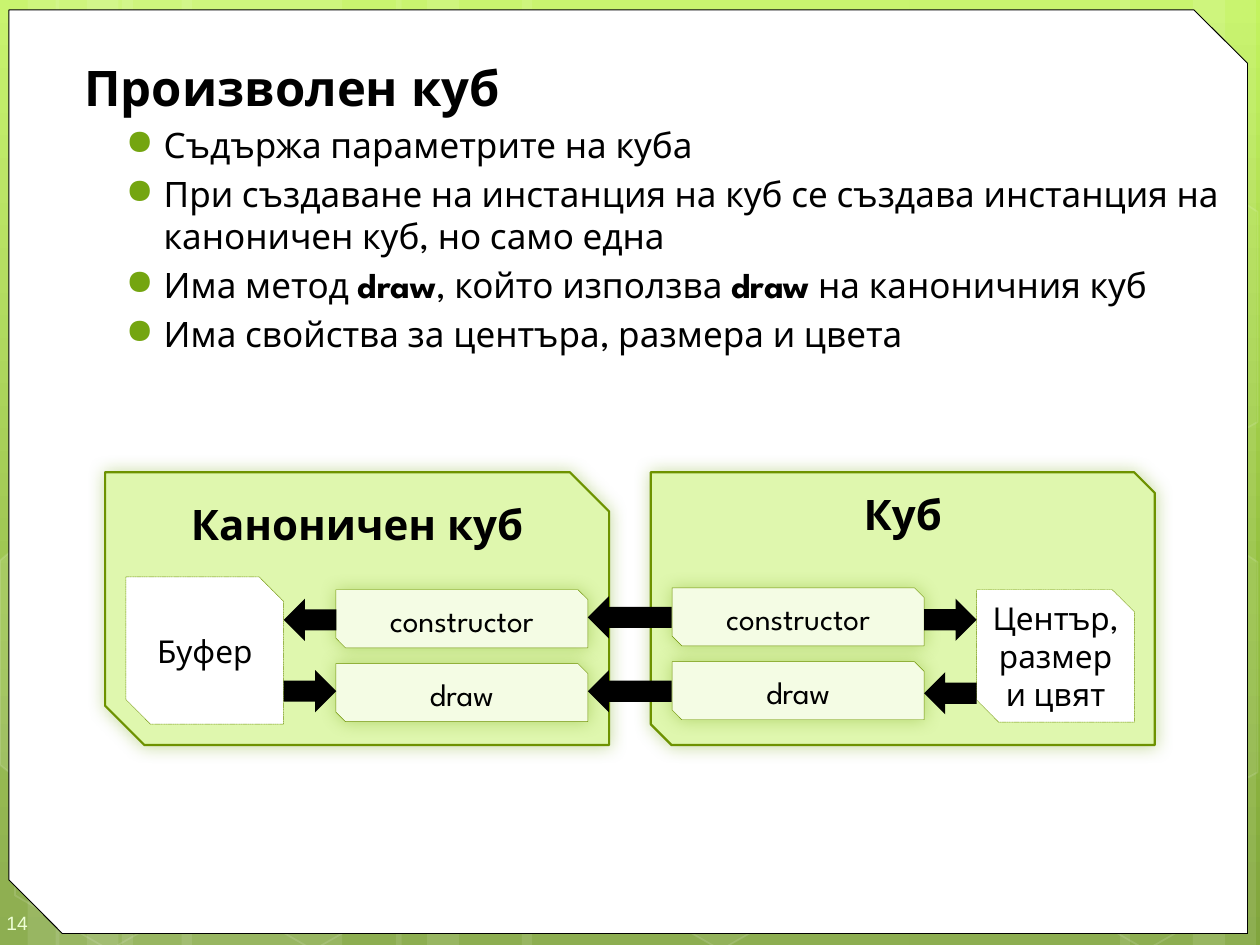
from copy import deepcopy

from lxml.etree import SubElement
from pptx import Presentation
from pptx.dml.color import RGBColor
from pptx.enum.dml import MSO_LINE
from pptx.enum.shapes import MSO_SHAPE as Preset
from pptx.enum.text import MSO_ANCHOR as Anchor, MSO_AUTO_SIZE as AutoSize, PP_ALIGN as Align
from pptx.oxml.ns import qn
from pptx.util import Cm, Pt

COLORS = {
    "sky": "C3F35F", "leaf": "93BF3F", "moss": "81A53E",
    "white": "FFFFFF", "black": "000000", "number": "EEFFD6",
    "panel": "DFF7AE", "method": "F4FCE4", "edge": "6D9200", "accent": "74A510",
}


def color(name):
    return RGBColor.from_string(COLORS[name])


def fade(element, percent):
    """Set the opacity of every colour inside an element."""
    for rgb in element.iter(qn("a:srgbClr")):
        SubElement(rgb, qn("a:alpha"), val=str(percent * 1000))


class SlideBuilder:
    font_name = "League Spartan"

    def __init__(self, presentation):
        self.slide = presentation.slides.add_slide(presentation.slide_layouts[5])
        self.shapes = self.slide.shapes

    def background(self, stops):
        fill = self.slide.background.fill
        fill.gradient()
        fill.gradient_angle = 270
        stop_list = self.slide.element.find(".//" + qn("a:gsLst"))
        stop_list.append(deepcopy(stop_list[0]))
        for stop, (position, name) in zip(fill.gradient_stops, stops):
            stop.position = position
            stop.color.rgb = color(name)

    def format_font(self, font, size, name="black", bold=False):
        font.name, font.size, font.bold = self.font_name, Pt(size), bold
        font.color.rgb = color(name)

    def paint(self, shape, fill=None, line=None, width=1.0):
        shape.shadow.inherit = False
        if fill:
            shape.fill.solid()
            shape.fill.fore_color.rgb = color(fill)
        else:
            shape.fill.background()
        if line:
            shape.line.color.rgb = color(line)
            shape.line.width = Pt(width)
        else:
            shape.line.fill.background()

    def shape(self, preset, box, adjustments=(), **style):
        shape = self.shapes.add_shape(preset, *map(Cm, box))
        for index, value in enumerate(adjustments):
            shape.adjustments[index] = value
        self.paint(shape, **style)
        return shape

    def veil(self, shape, fill_opacity=0, line_opacity=0):
        """Paint a shape in see-through white."""
        self.paint(shape, "white" if fill_opacity else None, "white" if line_opacity else None)
        properties = shape.element.spPr
        if fill_opacity:
            fade(properties.find(qn("a:solidFill")), fill_opacity)
        if line_opacity:
            fade(properties.find(qn("a:ln")), line_opacity)

    def polygon(self, points, fill_opacity, line_opacity):
        start, *rest = [(Cm(x), Cm(y)) for x, y in points]
        builder = self.shapes.build_freeform(*start)
        builder.add_line_segments(rest, close=True)
        self.veil(builder.convert_to_shape(), fill_opacity, line_opacity)

    def card(self, text, box, fill, width=0.25, adjustments=(), size=18,
             bold=False, anchor=Anchor.TOP, glow=True):
        """Snipped box with a centred label."""
        shape = self.shape(Preset.SNIP_2_DIAG_RECTANGLE, box, adjustments,
                           fill=fill, line="edge", width=width)
        if glow:
            effects = shape.element.spPr.find(qn("a:effectLst"))
            shadow = SubElement(effects, qn("a:outerShdw"), blurRad=str(Pt(10)), dist="0",
                                dir="2700000", algn="ctr", rotWithShape="0")
            SubElement(shadow, qn("a:srgbClr"), val=COLORS["accent"])
            fade(shadow, 40)
        else:
            shape.line.dash_style = MSO_LINE.SQUARE_DOT
        frame = shape.text_frame
        frame.margin_left = frame.margin_right = 0
        frame.vertical_anchor = anchor
        frame.word_wrap = True
        paragraph = frame.paragraphs[0]
        paragraph.text = text
        paragraph.alignment = Align.CENTER
        self.format_font(paragraph.font, size, bold=bold)

    def arrow(self, left, top, width, rotation):
        arrow = self.shape(Preset.RIGHT_ARROW, (left, top, width, 0.85), fill="black")
        arrow.rotation = rotation

    def title(self, text, box):
        title = self.shapes.title
        title.left, title.top, title.width, title.height = map(Cm, box)
        title.element.getparent().append(title.element)  # in front of the page
        frame = title.text_frame
        frame.auto_size = AutoSize.NONE
        frame.vertical_anchor = Anchor.TOP
        frame.margin_left = Cm(0.43)
        paragraph = frame.paragraphs[0]
        paragraph.text = text
        paragraph.alignment = Align.LEFT
        self.format_font(paragraph.font, 28, bold=True)

    def text_box(self, box):
        frame = self.shapes.add_textbox(*map(Cm, box)).text_frame
        frame.word_wrap = True
        return frame

    def bullets(self, items, box):
        """Each item is a list of runs; every second run is bold."""
        frame = self.text_box(box)
        for number, runs in enumerate(items):
            paragraph = frame.add_paragraph() if number else frame.paragraphs[0]
            properties = paragraph._p.get_or_add_pPr()
            properties.set("marL", str(Cm(1.78)))
            properties.set("indent", str(Cm(-0.76)))
            bullet_color = SubElement(properties, qn("a:buClr"))
            SubElement(bullet_color, qn("a:srgbClr"), val=COLORS["accent"])
            SubElement(properties, qn("a:buChar"), char="●")
            if number:
                paragraph.space_before = Pt(4)
            self.format_font(paragraph.font, 20)
            for index, text in enumerate(runs):
                run = paragraph.add_run()
                run.text = text
                if index % 2:
                    run.font.bold = True

    def slide_number(self, text, box):
        frame = self.text_box(box)
        frame.vertical_anchor = Anchor.MIDDLE
        frame.margin_left, frame.margin_right = Cm(0.13), 0
        frame.margin_top, frame.margin_bottom = Cm(0.38), Cm(0.25)
        paragraph = frame.paragraphs[0]
        paragraph.text = text
        self.format_font(paragraph.font, 11, "number")
        paragraph.font.name = "Arial"


def main():
    presentation = Presentation()
    presentation.slide_width, presentation.slide_height = Cm(25.4), Cm(19.05)
    builder = SlideBuilder(presentation)

    # Backdrop: gradient, light strips and honeycomb
    builder.background([(0, "sky"), (0.62, "leaf"), (1, "moss")])
    strips = [(2.46, 4.44), (0, 1.2), (0.56, 2.12), (3.66, 4.44), (1.12, 1.27), (1.75, 2.12),
              (18.34, 4.44), (24.05, 1.27), (22.58, 2.12), (10.52, 7.82), (7.98, 1.27), (8.61, 2.12)]
    for left, width in strips:
        builder.veil(builder.shape(Preset.RECTANGLE, (left, 0, width, 19.05)), 10)
    for left, opacity in [(12.32, 6), (0, 0), (4.11, 0), (20.9, 0)]:
        hexagon = builder.shape(Preset.HEXAGON, (left, 15, 4.44, 3.86), [0.29])
        hexagon.rotation = 30
        builder.veil(hexagon, opacity, 12)
    builder.polygon([(0, 11.3), (0.2, 11.13), (2.16, 12.24), (2.13, 14.48), (0.23, 15.6), (0, 15.42)],
                    10, 12)
    right_cell = [(23.24, 5.26), (25.15, 4.14), (25.35, 4.27), (25.35, 8.51), (25.17, 8.61), (23.22, 7.49)]
    for drop, opacity in [(7.06, 4), (0, 0)]:
        builder.polygon([(x, y + drop) for x, y in right_cell], opacity, 12)

    # Page, slide number and text
    builder.shape(Preset.SNIP_2_DIAG_RECTANGLE, (0.18, 0.2, 24.97, 18.62), (0, 0.058),
                  fill="white", line="black", width=0.5)
    builder.slide_number("14", (0, 18.03, 1.47, 1.02))
    builder.title("Произволен куб", (1.27, 1.04, 23.93, 1.4))
    builder.bullets([
        ["Съдържа параметрите на куба"],
        ["При създаване на инстанция на куб се създава инстанция на каноничен куб, но само една"],
        ["Има метод ", "draw", ", който използва ", "draw", " на каноничния куб"],
        ["Има свойства за центъра, размера и цвета"],
    ], (1.27, 2.36, 23.93, 5))

    # The two classes with their methods
    for text, left, snip, method_left, method_top in [
        ("Каноничен куб", 2.12, 0.144, 6.77, 11.89),
        ("Куб", 13.12, 0.076, 13.55, 11.85),
    ]:
        builder.card(text, (left, 9.52, 10.16, 5.5), "panel", 1.25, (0, snip), 24, True)
        for row, method in enumerate(["constructor", "draw"]):
            builder.card(method, (method_left, method_top + row * 1.49, 5.08, 1.17), "method")

    # Stored data
    for text, box in [("Буфер", (2.54, 11.63, 3.18, 2.97)),
                      ("Център, размер и цвят", (19.69, 11.89, 3.18, 2.67))]:
        builder.card(text, box, "white", anchor=Anchor.MIDDLE, glow=False)

    # Arrows
    for left, top, width, rotation in [
        (5.72, 12.07, 1.06, 180), (5.72, 13.51, 1.06, 0),
        (18.63, 12.07, 1.06, 0), (18.63, 13.55, 1.06, 180),
        (11.85, 12.02, 1.69, 180), (11.85, 13.51, 1.69, 180),
    ]:
        builder.arrow(left, top, width, rotation)

    presentation.save("out.pptx")


if __name__ == "__main__":
    main()
